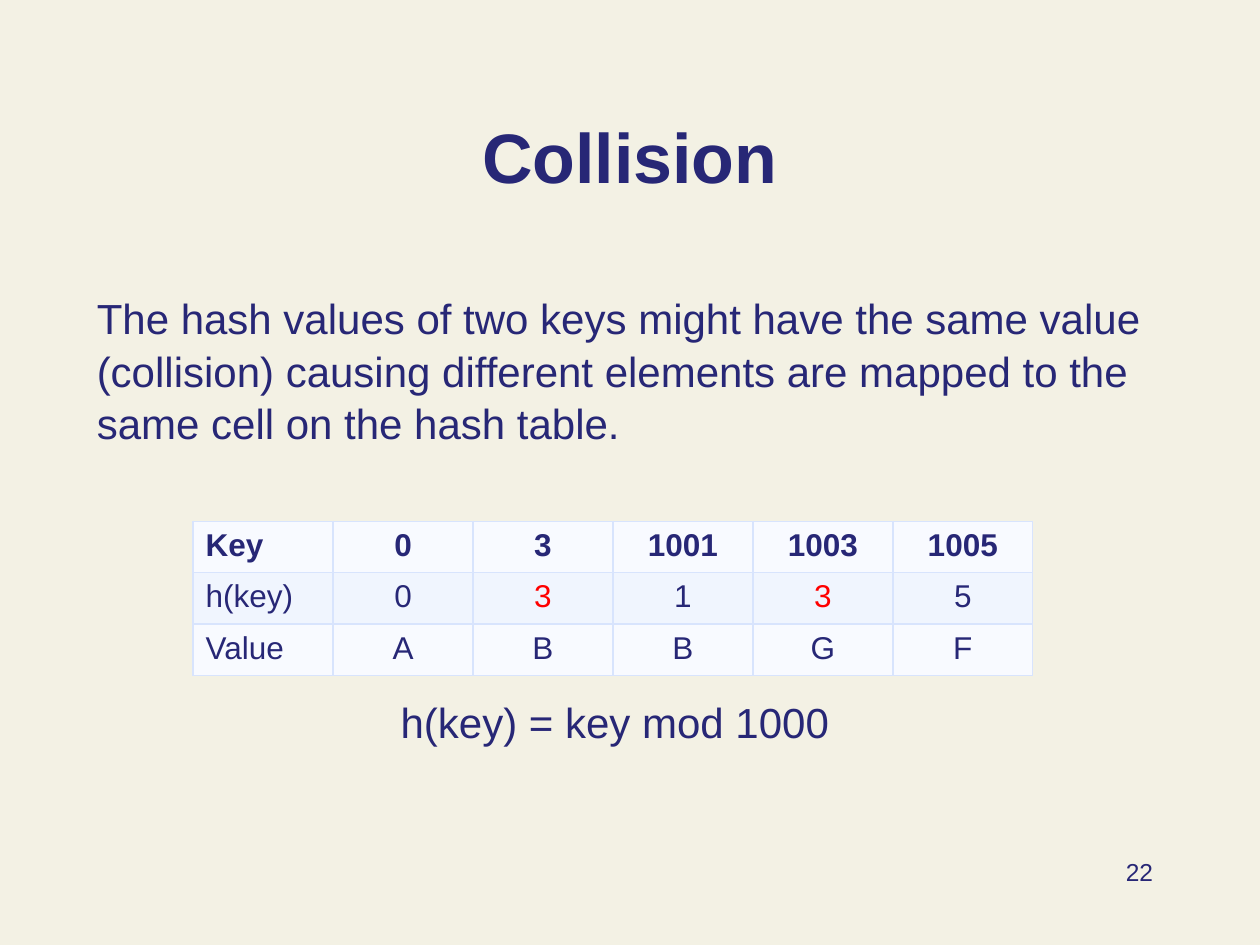
from lxml import etree
from pptx import Presentation, util as u
from pptx.dml.color import RGBColor
from pptx.enum import text
from pptx.oxml.ns import qn

COLS, ROWS = 40, 30
INK, RED, BORDER = "272776", "FF0000", "D8E4FD"
BANDS = ["F8FAFF", "F0F5FE"]
LEFT, CENTER, RIGHT = text.PP_ALIGN.LEFT, text.PP_ALIGN.CENTER, text.PP_ALIGN.RIGHT
KEYS = [
    ["Key", "0", "3", "1001", "1003", "1005"],
    ["h(key)", "0", "3", "1", "3", "5"],
    ["Value", "A", "B", "B", "G", "F"],
]
COLLIDING = "3"


def rgb(value):
    return RGBColor.from_string(value)


def grid(prs, col, row, width, height):
    dx, dy = prs.slide_width / COLS, prs.slide_height / ROWS
    return [round(v) for v in (col * dx, row * dy, width * dx, height * dy)]


def write(tf, content, size, align=LEFT, bold=False, color=INK):
    tf.text = content
    p = tf.paragraphs[0]
    p.alignment = align
    font = p.runs[0].font
    font.name, font.size, font.bold = "Arial", u.Pt(size), bold
    font.color.rgb = rgb(color)
    return p


def add_text(s, box, content, size, align=LEFT, bold=False, anchor=text.MSO_ANCHOR.TOP):
    tf = s.shapes.add_textbox(*box).text_frame
    tf.word_wrap = True
    tf.vertical_anchor = anchor
    return write(tf, content, size, align, bold)


def set_borders(cell):
    tc_pr = cell._tc.get_or_add_tcPr()
    for i, side in enumerate(("lnL", "lnR", "lnT", "lnB")):
        ln = etree.Element(qn(f"a:{side}"), w=str(u.Pt(1)))
        fill = etree.SubElement(ln, qn("a:solidFill"))
        etree.SubElement(fill, qn("a:srgbClr"), val=BORDER)
        tc_pr.insert(i, ln)


def add_key_table(s, box):
    left, top, width, height = box
    table = s.shapes.add_table(len(KEYS), len(KEYS[0]), left, top, width, height).table
    for i, row in enumerate(KEYS):
        for j, value in enumerate(row):
            cell = table.cell(i, j)
            cell.fill.solid()
            cell.fill.fore_color.rgb = rgb(BANDS[i % 2])
            color = RED if i == 1 and value == COLLIDING else INK
            write(cell.text_frame, value, 18, CENTER if j else LEFT, i == 0, color)
            set_borders(cell)


def main():
    prs = Presentation()
    prs.slide_width, prs.slide_height = u.Inches(10), u.Inches(7.5)
    s = prs.slides.add_slide(prs.slide_layouts[6])
    s.background.fill.solid()
    s.background.fill.fore_color.rgb = rgb("F3F1E4")

    add_text(s, grid(prs, 3, 2.16, 34, 4.32), "Collision", 40, CENTER, True,
             text.MSO_ANCHOR.BOTTOM)
    add_key_table(s, grid(prs, 6.13, 16.55, 26.66, 4.9))
    add_text(s, grid(prs, 11.8, 21.92, 15.44, 2.04), "h(key) = key mod 1000", 24, CENTER)
    body = add_text(s, grid(prs, 2.68, 9, 34.64, 6.88),
                    "The hash values of two keys might have the same value (collision) "
                    "causing different elements are mapped to the same cell on the hash table.",
                    24)
    body.line_spacing = 1.05
    add_text(s, grid(prs, 28.68, 27, 8.32, 2), "22", 14, RIGHT)
    prs.save("out.pptx")


if __name__ == "__main__":
    main()
